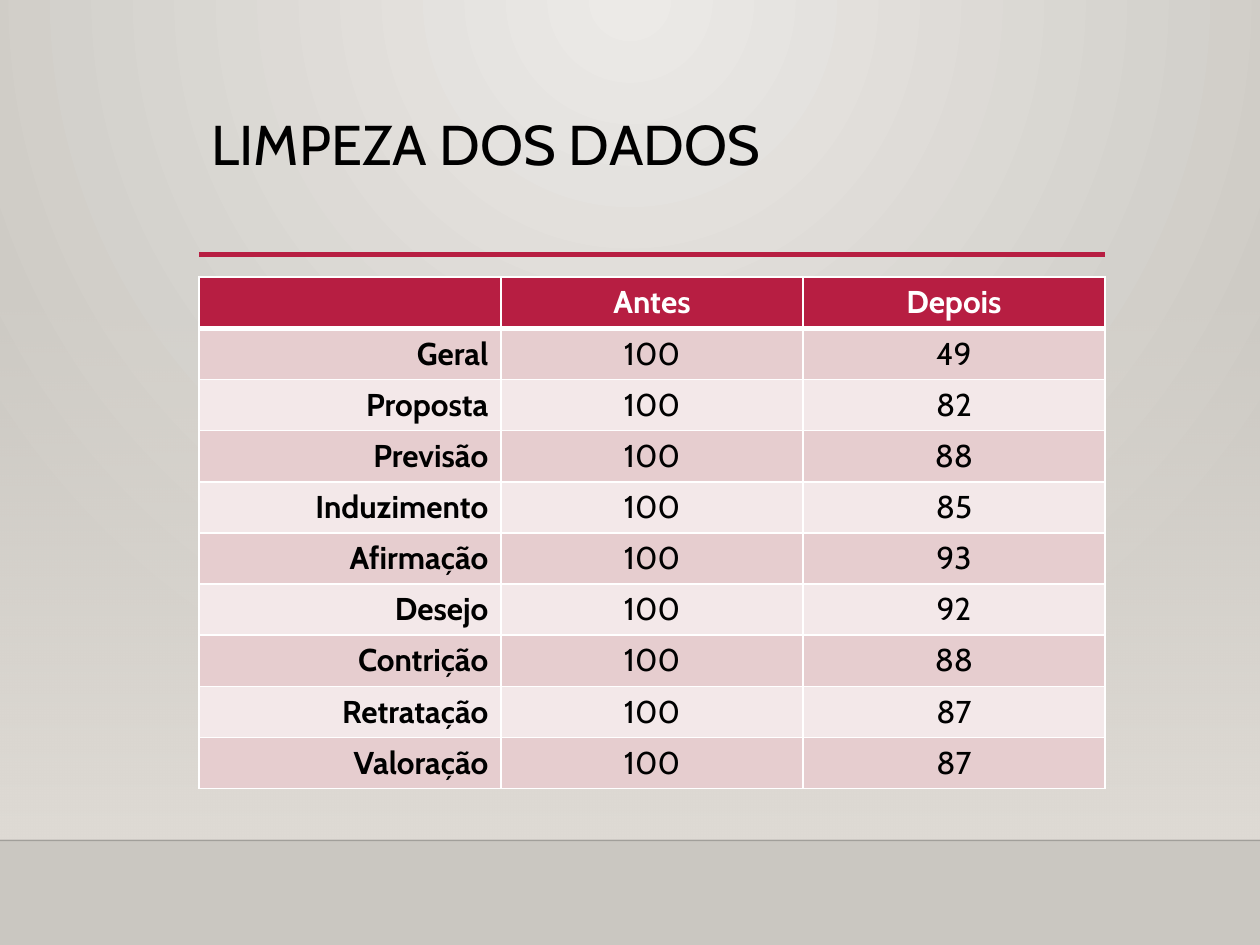
from lxml import etree
from pptx import Presentation
from pptx.dml.color import RGBColor
from pptx.enum.shapes import MSO_CONNECTOR as LINE, MSO_SHAPE as SHAPE
from pptx.enum.text import MSO_ANCHOR as ANCHOR, PP_ALIGN as ALIGN
from pptx.oxml import parse_xml
from pptx.oxml.ns import nsdecls, qn
from pptx.util import Inches, Pt

FONT = "Cabin"
RED, WHITE, BLACK = "B71E42", "FFFFFF", "000000"
BANDS = ["E6CDCF", "F3E8E9"]
LEFT, WIDTH = 1.58, 7.19


def color(code):
    return RGBColor.from_string(code)


def write(frame, text, size, code, align, bold=False):
    para = frame.paragraphs[0]
    para.alignment = align
    run = para.add_run()
    run.text = text
    run.font.name = FONT
    run.font.size = Pt(size)
    run.font.bold = bold
    run.font.color.rgb = color(code)
    return para


prs = Presentation()
prs.slide_width, prs.slide_height = Inches(10), Inches(7.5)
slide = prs.slides.add_slide(prs.slide_layouts[5])
shapes = slide.shapes

# Background: glow from the top centre
slide.background.fill.solid()
back = slide.background.fill._xPr
back.replace(back[0], parse_xml(
    f'<a:gradFill {nsdecls("a")} rotWithShape="1"><a:gsLst>'
    '<a:gs pos="0"><a:srgbClr val="ECEAE7"/></a:gs>'
    '<a:gs pos="100000"><a:srgbClr val="CAC7C1"/></a:gs></a:gsLst>'
    '<a:path path="circle"><a:fillToRect l="43000" t="0" r="43000" b="100000"/>'
    '</a:path></a:gradFill>'))

# Wall that fades in downwards
wall = shapes.add_shape(SHAPE.RECTANGLE, 0, Inches(2.2), Inches(10), Inches(4.46))
wall.shadow.inherit = False
wall.line.fill.background()
wall.fill.gradient()
wall.fill.gradient_angle = 270
for stop, (pos, alpha) in zip(wall.fill.gradient_stops, [(0, 0), (1, 100000)]):
    stop.position = pos
    stop.color.rgb = color("DFDBD5")
    tint = stop._gs.find(qn("a:srgbClr"))
    etree.SubElement(tint, qn("a:alpha")).set("val", str(alpha))

# Floor edge and title rule
for x1, x2, y, code, width, alpha in [
    (0, 10, 6.67, "000001", 1, 20),
    (LEFT, LEFT + WIDTH, 2.02, RED, 2.5, 100),
]:
    rule = shapes.add_connector(
        LINE.STRAIGHT, Inches(x1), Inches(y), Inches(x2), Inches(y))
    rule.line.color.rgb = color(code)
    rule.line.width = Pt(width)
    props = rule._element.spPr
    tint = props.find(".//" + qn("a:srgbClr"))
    etree.SubElement(tint, qn("a:alpha")).set("val", str(alpha * 1000))
    etree.SubElement(props, qn("a:effectLst"))

# Title
title = shapes.title
title.left, title.top = Inches(LEFT), Inches(0.88)
title.width, title.height = Inches(WIDTH), Inches(1.15)
title.text_frame.vertical_anchor = ANCHOR.TOP
head = write(title.text_frame, "LIMPEZA DOS DADOS", 32, BLACK, ALIGN.LEFT)
head.line_spacing = 0.9

# Table
rows = [("", "Antes", "Depois")] + [(name, "100", after) for name, after in [
    ("Geral", "49"), ("Proposta", "82"), ("Previsão", "88"),
    ("Induzimento", "85"), ("Afirmação", "93"), ("Desejo", "92"),
    ("Contrição", "88"), ("Retratação", "87"), ("Valoração", "87")]]
table = shapes.add_table(
    len(rows), 3, Inches(LEFT), Inches(2.2), Inches(WIDTH), Inches(4.06)).table

for r, row in enumerate(rows):
    for c, text in enumerate(row):
        cell = table.cell(r, c)
        if text:
            write(cell.text_frame, text, 18, BLACK if r else WHITE,
                  ALIGN.RIGHT if c == 0 else ALIGN.CENTER, r == 0 or c == 0)
        # Borders go before the fill; the header is underlined thicker
        props = cell._tc.get_or_add_tcPr()
        for side in "LRTB":
            thick = (r == 0 and side == "B") or (r == 1 and side == "T")
            props.append(parse_xml(
                f'<a:ln{side} {nsdecls("a")} w="{Pt(3 if thick else 1)}">'
                f'<a:solidFill><a:srgbClr val="{WHITE}"/></a:solidFill>'
                f'</a:ln{side}>'))
        cell.fill.solid()
        cell.fill.fore_color.rgb = color(BANDS[(r - 1) % 2] if r else RED)

prs.save("out.pptx")
